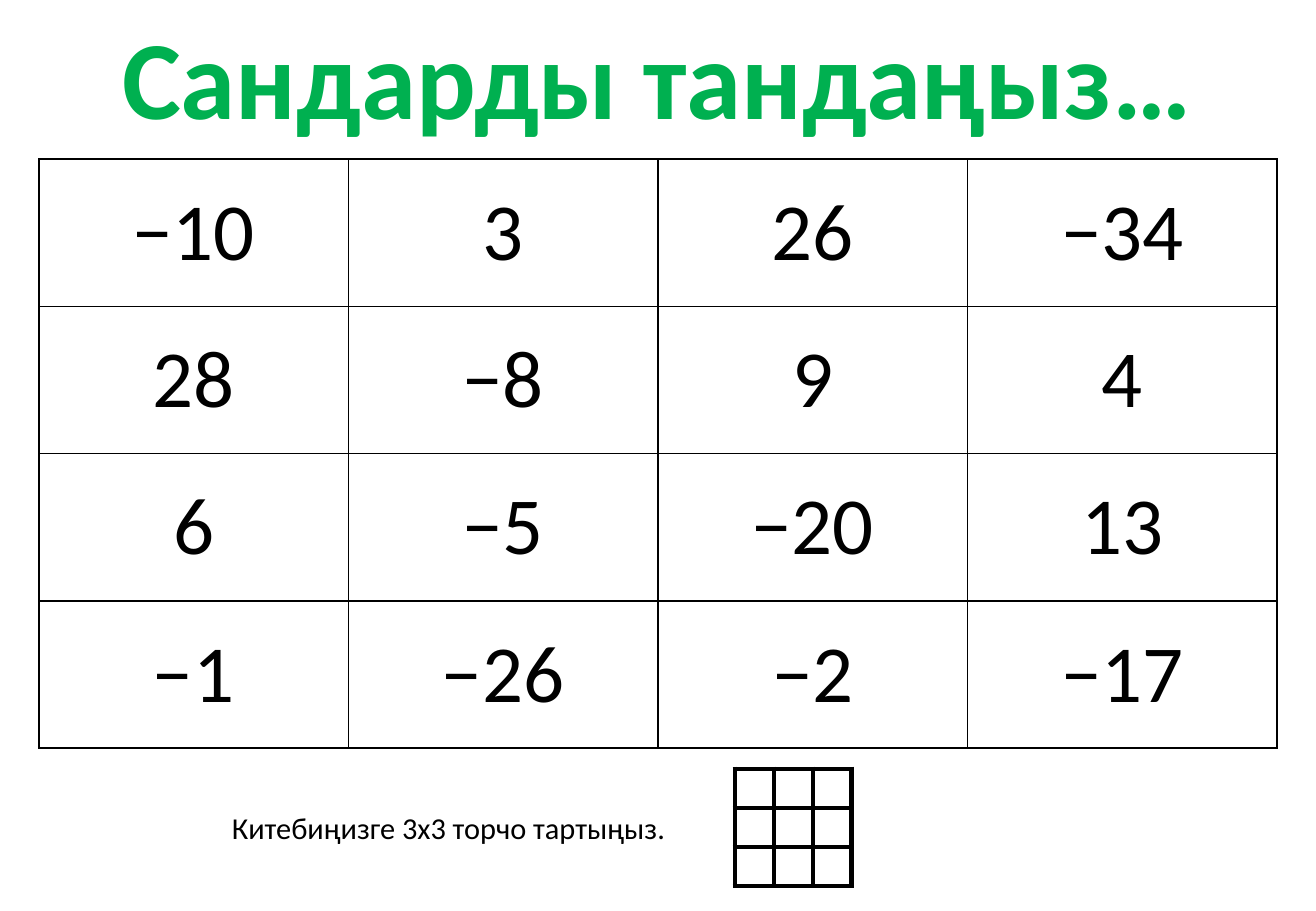
from lxml import etree
from pptx import Presentation
from pptx import util as u
from pptx.dml.color import RGBColor
from pptx.enum import text
from pptx.oxml.ns import qn

Pt = u.Pt
BLACK = RGBColor(0, 0, 0)
WHITE = RGBColor(255, 255, 255)
GREEN = RGBColor(0, 176, 80)


def write(frame, words, size=18, color=BLACK, bold=False, align=text.PP_ALIGN.CENTER):
    para = frame.paragraphs[0]
    para.alignment = align
    run = para.add_run()
    run.text = words
    run.font.name = "Calibri"
    run.font.size = Pt(size)
    run.font.bold = bold
    run.font.color.rgb = color


def add_grid(left, top, wide, high, rows, line):
    count = len(rows[0])
    frame = slide.shapes.add_table(
        len(rows), count, Pt(left), Pt(top), Pt(wide * count), Pt(high * len(rows)))
    table = frame.table
    table.first_row = table.horz_banding = False
    for col in table.columns:
        col.width = Pt(wide)
    for r, row in enumerate(rows):
        table.rows[r].height = Pt(high)
        for c, words in enumerate(row):
            cell = table.cell(r, c)
            cell.margin_left = cell.margin_right = 0
            cell.margin_top = cell.margin_bottom = 0
            cell.vertical_anchor = text.MSO_ANCHOR.MIDDLE
            # Borders come before the fill in the cell properties
            props = cell._tc.get_or_add_tcPr()
            for side in ("lnL", "lnR", "lnT", "lnB"):
                edge = etree.SubElement(props, qn("a:" + side), w=str(Pt(line)))
                solid = etree.SubElement(edge, qn("a:solidFill"))
                etree.SubElement(solid, qn("a:srgbClr"), val=str(BLACK))
            cell.fill.solid()
            cell.fill.fore_color.rgb = WHITE
            if words:
                write(cell.text_frame, words, size=48)


deck = Presentation()
deck.slide_width, deck.slide_height = Pt(780), Pt(540)
slide = deck.slides.add_slide(deck.slide_layouts[6])

# Number grid
numbers = [
    ["−10", "3", "26", "−34"],
    ["28", "−8", "9", "4"],
    ["6", "−5", "−20", "13"],
    ["−1", "−26", "−2", "−17"],
]
add_grid(23, 94.3, 183.5, 87.3, numbers, 1)

# Title
title = slide.shapes.add_textbox(Pt(57), Pt(1.5), Pt(665), Pt(87)).text_frame
title.word_wrap = False
write(title, "Сандарды тандаңыз…", size=66, color=GREEN, bold=True)

# Empty sample grid
add_grid(435.6, 455.8, 23.1, 23.1, [[""] * 3] * 3, 3)

# Instruction
note = slide.shapes.add_textbox(Pt(130.3), Pt(476), Pt(274.3), Pt(29)).text_frame
note.word_wrap = False
write(note, "Китебиңизге 3х3 торчо тартыңыз.", align=text.PP_ALIGN.LEFT)

deck.save("out.pptx")
